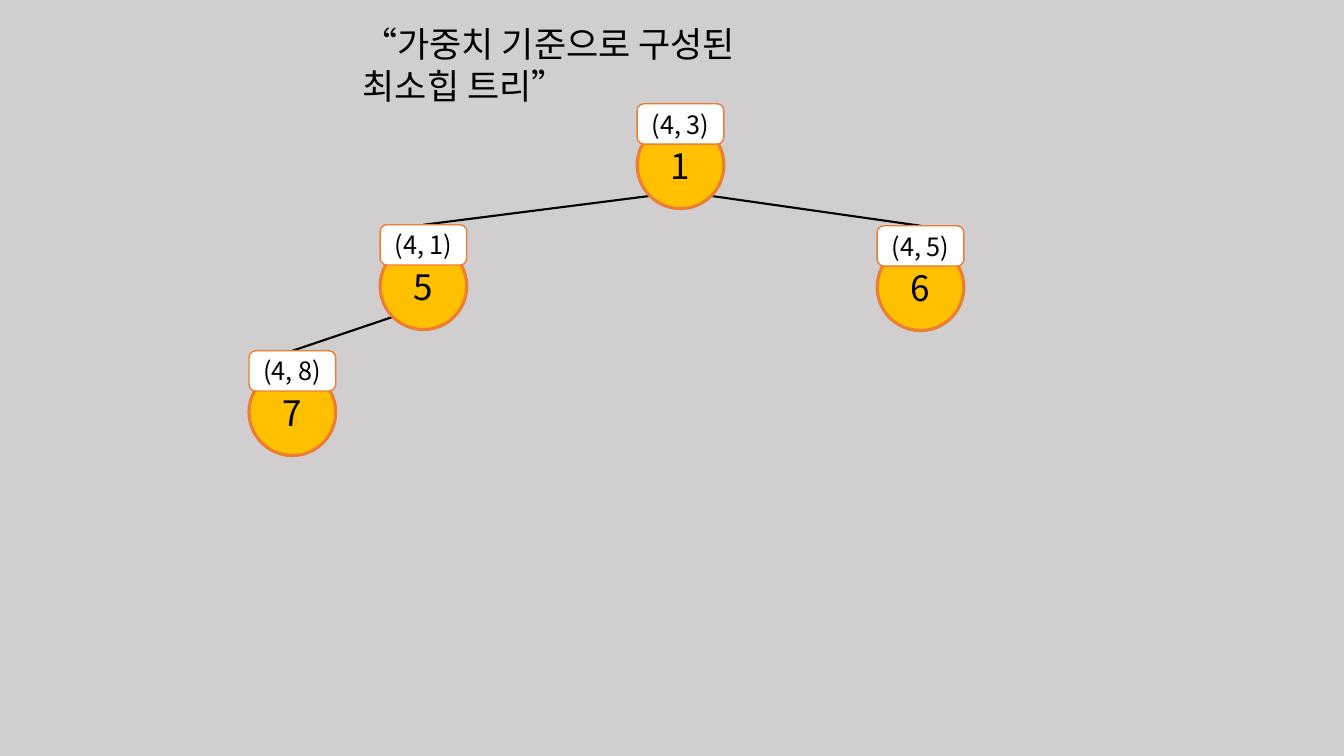
"""Build a slide showing a min-heap tree ordered by weight."""
from dataclasses import dataclass
from math import sqrt
from typing import Optional

from lxml.etree import SubElement
from pptx import Presentation
from pptx.dml.color import RGBColor
from pptx.enum.shapes import MSO_CONNECTOR as CONN, MSO_SHAPE as SHAPE
from pptx.enum.text import MSO_ANCHOR as ANCHOR, PP_ALIGN as ALIGN
from pptx.oxml.ns import qn
from pptx.util import Inches, Pt

COLORS = {"back": "D0CECE", "node": "FFC000", "edge": "ED7D31", "tag": "FFFFFF", "ink": "000000"}
FONT = "Noto Sans CJK KR"
SIZE = 0.86
TAG_H = 0.4
TAG_RISE = 0.18


@dataclass(frozen=True)
class Node:
    key: str
    pair: str
    left: float
    top: float
    parent: Optional[str] = None


NODES = [
    Node("1", "(4, 3)", 6.32, 1.03),
    Node("6", "(4, 5)", 8.7, 2.24, "1"),
    Node("5", "(4, 1)", 3.77, 2.23, "1"),
    Node("7", "(4, 8)", 2.47, 3.48, "5"),
]


def rgb(name: str) -> RGBColor:
    return RGBColor.from_string(COLORS[name])


def write(tf, text: str, size: float, align: ALIGN) -> None:
    p = tf.paragraphs[0]
    p.text = text
    p.alignment = align
    p.font.name = FONT
    p.font.size = Pt(size)
    p.font.color.rgb = rgb("ink")
    for font in p._p.iter(qn("a:defRPr")):
        SubElement(font, qn("a:ea"), typeface=FONT)


def draw_part(shapes, kind: SHAPE, left: float, top: float, height: float,
              fill: str, weight: float, text: str, size: float) -> None:
    sp = shapes.add_shape(kind, Inches(left), Inches(top), Inches(SIZE), Inches(height))
    sp.shadow.inherit = False
    sp.fill.solid()
    sp.fill.fore_color.rgb = rgb(fill)
    sp.line.color.rgb = rgb("edge")
    sp.line.width = Pt(weight)
    tf = sp.text_frame
    tf.vertical_anchor = ANCHOR.MIDDLE
    tf.margin_left = tf.margin_right = 0
    write(tf, text, size, ALIGN.CENTER)


def draw_node(s, node: Node) -> None:
    shapes = s.shapes.add_group_shape().shapes
    draw_part(shapes, SHAPE.OVAL, node.left, node.top + TAG_RISE, SIZE, "node", 2.25, node.key, 25)
    draw_part(shapes, SHAPE.ROUNDED_RECTANGLE, node.left, node.top, TAG_H, "tag", 1, node.pair, 18)


def draw_edge(s, parent: Node, child: Node) -> None:
    radius = SIZE / 2
    reach = radius / sqrt(2)
    side = 1 if child.left > parent.left else -1
    line = s.shapes.add_connector(
        CONN.STRAIGHT,
        Inches(parent.left + radius + side * reach),
        Inches(parent.top + TAG_RISE + radius + reach),
        Inches(child.left + radius), Inches(child.top))
    line.line.color.rgb = rgb("ink")
    line.line.width = Pt(1.5)
    SubElement(line._element.spPr, qn("a:effectLst"))


def main() -> None:
    prs = Presentation()
    prs.slide_width, prs.slide_height = Inches(13.33), Inches(7.5)
    s = prs.slides.add_slide(prs.slide_layouts[6])
    s.background.fill.solid()
    s.background.fill.fore_color.rgb = rgb("back")

    title = s.shapes.add_textbox(Inches(3.5), Inches(0.17), Inches(4.76), Inches(0.52))
    title.text_frame.word_wrap = True
    write(title.text_frame, "“가중치 기준으로 구성된 최소힙 트리”", 25, ALIGN.LEFT)

    by_key = {node.key: node for node in NODES}
    for node in NODES:
        if node.parent:
            draw_edge(s, by_key[node.parent], node)
    for node in NODES:
        draw_node(s, node)
    prs.save("out.pptx")


main()
